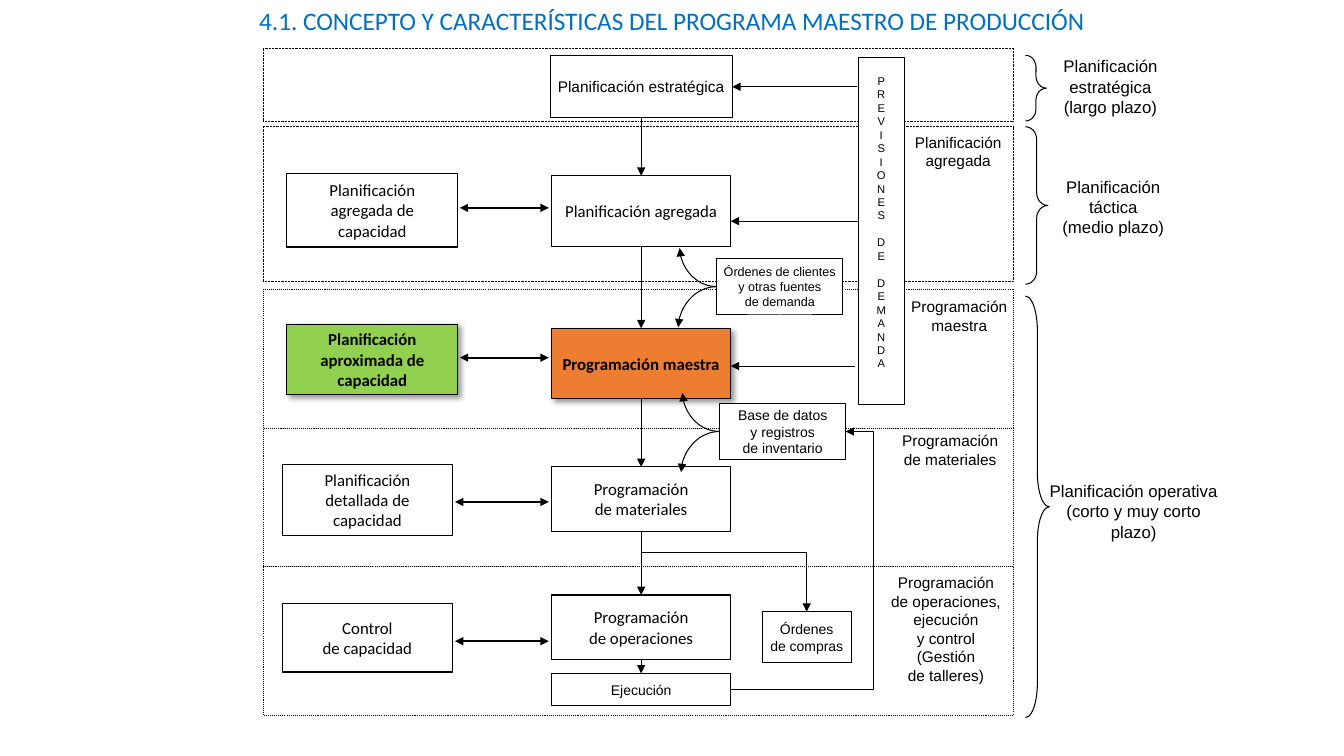
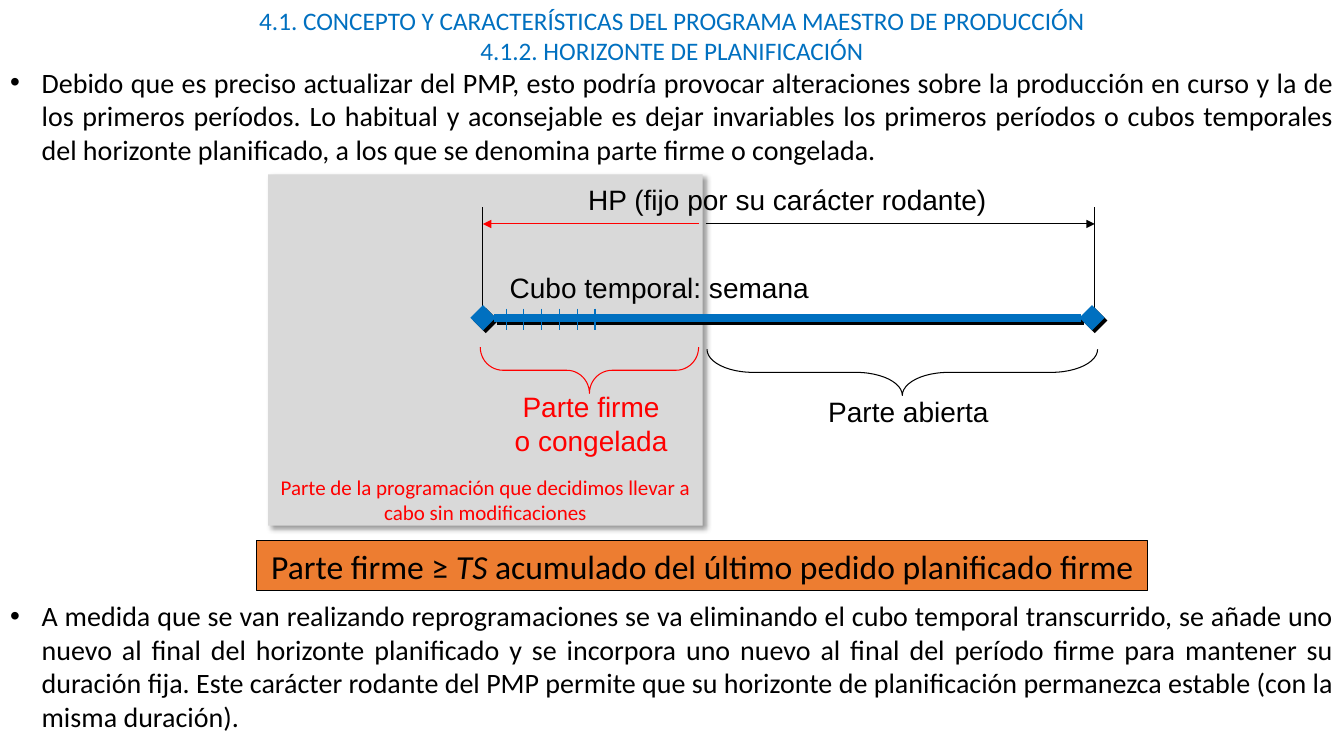
from lxml import etree
from pptx import Presentation
from pptx.dml.color import RGBColor
from pptx.enum.dml import MSO_LINE
from pptx.enum.shapes import MSO_CONNECTOR, MSO_SHAPE
from pptx.enum.text import MSO_ANCHOR, MSO_AUTO_SIZE, PP_ALIGN
from pptx.oxml.ns import qn
from pptx.util import Pt

RECT, BRACE = MSO_SHAPE.RECTANGLE, MSO_SHAPE.RIGHT_BRACE
STRAIGHT, ELBOW, CURVE = MSO_CONNECTOR.STRAIGHT, MSO_CONNECTOR.ELBOW, MSO_CONNECTOR.CURVE
LEFT, CENTER, JUSTIFY = PP_ALIGN.LEFT, PP_ALIGN.CENTER, PP_ALIGN.JUSTIFY
TOP, MIDDLE = MSO_ANCHOR.TOP, MSO_ANCHOR.MIDDLE
DOTTED = MSO_LINE.ROUND_DOT
NO_FIT = MSO_AUTO_SIZE.NONE

COLORS = {
    "black": "000000", "white": "FFFFFF", "blue": "0070C0", "red": "FF0000",
    "orange": "ED7D31", "green": "92D050", "gray": "D9D9D9",
}
TITLE = "4.1. CONCEPTO Y CARACTERÍSTICAS DEL PROGRAMA MAESTRO DE PRODUCCIÓN"
TOP_BULLET = (
    "Debido que es preciso actualizar del PMP, esto podría provocar alteraciones sobre la "
    "producción en curso y la de los primeros períodos. Lo habitual y aconsejable es dejar "
    "invariables los primeros períodos o cubos temporales del horizonte planificado, a los que "
    "se denomina parte firme o congelada."
)
BOTTOM_BULLET = (
    "A medida que se van realizando reprogramaciones se va eliminando el cubo temporal "
    "transcurrido, se añade uno nuevo al final del horizonte planificado y se incorpora uno nuevo "
    "al final del período firme para mantener su duración fija. Este carácter rodante del PMP "
    "permite que su horizonte de planificación permanezca estable (con la misma duración)."
)


def rgb(name):
    """Return the named colour."""
    return RGBColor.from_string(COLORS[name])


def write(sp, text, size=12, font="Calibri", color="black", bold=False, align=CENTER,
          anchor=TOP, wrap=False):
    """Fill a shape with one paragraph per line; *asterisks* mark italics."""
    tf = sp.text_frame
    tf.auto_size = NO_FIT
    tf.word_wrap = wrap
    tf.vertical_anchor = anchor
    for i, line in enumerate(text.split("\n")):
        p = tf.add_paragraph() if i else tf.paragraphs[0]
        p.alignment = align
        p.space_before = Pt(0)
        for j, part in enumerate(line.split("*")):
            r = p.add_run()
            r.text = part
            r.font.size, r.font.name = Pt(size), font
            r.font.bold, r.font.italic = bold, j % 2 == 1
            r.font.color.rgb = rgb(color)
    return tf


def place(sp, x, y, w, h):
    """Move and size a shape."""
    sp.left, sp.top, sp.width, sp.height = Pt(x), Pt(y), Pt(w), Pt(h)


def add_title(s, text, h):
    """Write the blue heading in the title placeholder."""
    place(s.shapes.title, 0, 0, 960, h)
    write(s.shapes.title, text, size=18, color="blue", wrap=True)


def add_bullet(sp, text, y, h):
    """Write a justified bullet in a body placeholder."""
    place(sp, 0, y, 960, h)
    tf = write(sp, text, size=20, align=JUSTIFY, wrap=True)
    p_pr = tf.paragraphs[0]._p.get_or_add_pPr()
    p_pr.set("marL", str(Pt(22.5)))
    p_pr.set("indent", str(-Pt(22.5)))


def add_shadow(sp, alpha=40, blur=4, dist=3):
    """Give a shape an outer black shadow towards the lower right."""
    effects = sp._element.spPr.find(qn("a:effectLst"))
    shadow = etree.SubElement(effects, qn("a:outerShdw"), blurRad=str(Pt(blur)),
                              dist=str(Pt(dist)), dir="2700000", algn="tl", rotWithShape="0")
    clr = etree.SubElement(shadow, qn("a:srgbClr"), val=COLORS["black"])
    etree.SubElement(clr, qn("a:alpha"), val=str(alpha * 1000))


def add_box(s, x, y, w, h, text="", fill="white", line="black", shadow=False, **fmt):
    """Add a rectangle with centred text."""
    sp = s.shapes.add_shape(RECT, Pt(x), Pt(y), Pt(w), Pt(h))
    sp.shadow.inherit = False
    sp.fill.solid()
    sp.fill.fore_color.rgb = rgb(fill)
    if line:
        sp.line.color.rgb = rgb(line)
        sp.line.width = Pt(0.75)
    else:
        sp.line.fill.background()
    if shadow:
        add_shadow(sp)
    if text:
        write(sp, text, **{"anchor": MIDDLE, **fmt})
    return sp


def add_label(s, x, y, w, h, text, **fmt):
    """Add a text box, in Arial unless told otherwise."""
    write(s.shapes.add_textbox(Pt(x), Pt(y), Pt(w), Pt(h)), text, **{"font": "Arial", **fmt})


def add_brace(s, x, y, w, h, adj, color="black", down=False):
    """Add a brace over the given area, pointing right or down."""
    if down:
        x, y, w, h = x + (w - h) / 2, y + (h - w) / 2, h, w
    sp = s.shapes.add_shape(BRACE, Pt(x), Pt(y), Pt(w), Pt(h))
    sp.rotation = 90 if down else 0
    sp.adjustments[0] = adj
    sp.shadow.inherit = False
    sp.fill.background()
    sp.line.color.rgb = rgb(color)
    sp.line.width = Pt(0.75)


def add_line(s, x1, y1, x2, y2, kind=STRAIGHT, color="black", width=0.75, head=None, tail=None):
    """Add a connector with optional ends."""
    c = s.shapes.add_connector(kind, Pt(x1), Pt(y1), Pt(x2), Pt(y2))
    c.line.color.rgb = rgb(color)
    c.line.width = Pt(width)
    sp_pr = c._element.spPr
    for tag, end in (("a:headEnd", head), ("a:tailEnd", tail)):
        if end:
            etree.SubElement(sp_pr.find(qn("a:ln")), qn(tag), type=end)
    etree.SubElement(sp_pr, qn("a:effectLst"))
    return c


def add_arrow(s, x1, y1, x2, y2, **fmt):
    """Add a connector that ends in a triangle."""
    return add_line(s, x1, y1, x2, y2, tail="triangle", **fmt)


def add_flow(s, upper, lower):
    """Join two stacked boxes with a downward arrow."""
    c = add_arrow(s, 458, 0, 458, 10)
    c.begin_connect(upper, 2)
    c.end_connect(lower, 0)


def add_elbow(s, x1, y1, x2, y2, adj, vertical=False):
    """Add a bent arrow; a vertical one leaves downwards and ends to the right."""
    if vertical:
        cx, cy, dx, dy = (x1 + x2) / 2, (y1 + y2) / 2, (x2 - x1) / 2, (y2 - y1) / 2
        x1, y1, x2, y2 = cx + dy, cy - dx, cx - dy, cy + dx
    c = add_arrow(s, x1, y1, x2, y2, kind=ELBOW)
    sp_pr = c._element.spPr
    if vertical:
        sp_pr.find(qn("a:xfrm")).set("rot", "16200000")
    guides = sp_pr.find(qn("a:prstGeom")).find(qn("a:avLst"))
    etree.SubElement(guides, qn("a:gd"), name="adj1", fmla=f"val {round(adj * 100000)}")


def add_curve(s, x1, y1, x2, y2):
    """Add a quarter-turn arrow."""
    c = add_arrow(s, x1, y1, x2, y2, kind=CURVE)
    c._element.spPr.find(qn("a:prstGeom")).set("prst", "curvedConnector2")


def add_forecast(s):
    """Add the tall box whose words are stacked letter by letter."""
    words = ("PREVISIONES", "DE", "DEMANDA")
    sp = add_box(s, 613, 41, 33, 248, "\n".join("".join(words)), size=8, font="Arial", anchor=TOP)
    tf = sp.text_frame
    tf.margin_top = Pt(12)
    for p in tf.paragraphs:
        p.line_spacing = Pt(9.6)
    start = 0
    for word in words[:-1]:
        start += len(word)
        tf.paragraphs[start].space_before = Pt(9.6)


def build_concept(prs):
    """Build the slide of planning levels."""
    s = prs.slides.add_slide(prs.slide_layouts[5])
    add_title(s, TITLE, 29)
    for y, h, width in ((34.5, 52.5, 0.5), (90, 111, 0.5), (206.5, 99.5, 0.75),
                        (306, 98.5, 0.75), (404.5, 106.5, 0.75)):
        band = add_box(s, 188, y, 536, h)
        band.line.width = Pt(width)
        band.line.dash_style = DOTTED

    for x, y, w, h, text in (
        (646, 91.5, 77, 34, "Planificación\nagregada"),
        (643.5, 209, 83.5, 34, "Programación\nmaestra"),
        (637, 304.5, 83.5, 34, "Programación\nde materiales"),
        (629, 406, 93.5, 87,
         "Programación\nde operaciones,\nejecución\ny control\n(Gestión\nde talleres)"),
    ):
        add_label(s, x, y, w, h, text, size=11)

    strategic = add_box(s, 393, 40, 130, 44, "Planificación estratégica", size=11, font="Arial")
    steps = [strategic] + [add_box(s, 394, y, 128, h, text, **fmt) for y, h, text, fmt in (
        (125.5, 50.5, "Planificación agregada", {}),
        (234.5, 50.5, "Programación maestra", {"fill": "orange", "shadow": True, "bold": True}),
        (333.5, 46, "Programación\nde materiales", {}),
        (425, 46, "Programación\nde operaciones", {}),
        (481, 23, "Ejecución", {"size": 10, "font": "Arial"}),
    )]
    for upper, lower in zip(steps, steps[1:]):
        add_flow(s, upper, lower)

    for x, y, h, text, arrow_y, fmt in (
        (205, 124, 52.5, "Planificación\nagregada de\ncapacidad", 148.5, {}),
        (205, 231.5, 50.5, "Planificación\naproximada de\ncapacidad", 255.5,
         {"fill": "green", "shadow": True, "bold": True}),
        (201.5, 331.5, 51, "Planificación\ndetallada de\ncapacidad", 358.5, {}),
        (201.5, 431, 49, "Control\nde capacidad", 458, {}),
    ):
        add_box(s, x, y, 122, h, text, **fmt)
        add_arrow(s, x + 123.5, arrow_y, 392, arrow_y, width=1.5, head="triangle")

    for x, y, size, text in (
        (512, 184.5, 9, "Órdenes de clientes\ny otras fuentes\nde demanda"),
        (514, 288, 10, "Base de datos\ny registros\nde inventario"),
    ):
        add_box(s, x, y, 90, 40.5, text, size=size, font="Arial")
        mid = y + 20.25
        add_curve(s, x, mid, x - 26.5, mid - 27.5)
        add_curve(s, x, mid, x - 27.5, mid + 29)
    add_box(s, 544.5, 437, 63.5, 36.5, "Órdenes\nde compras", size=10, font="Arial")
    add_elbow(s, 458, 379.5, 576.25, 437, 0.27, vertical=True)
    add_elbow(s, 522, 492.5, 604, 308.25, 1.24)

    add_forecast(s)
    add_arrow(s, 612, 62, 523, 62).end_connect(strategic, 3)
    for x, y in ((613, 158), (611, 261.5)):
        add_arrow(s, x, y, 522, y)

    for y, w, h, adj in ((39.5, 15, 47, 0.57), (90.5, 16, 112.5, 0.57), (211.5, 17, 301, 1.44)):
        add_brace(s, 732.5, y, w, h, adj)
    for x, y, w, text in (
        (736, 36.5, 114.5, "Planificación estratégica\n(largo plazo)"),
        (738, 122.5, 114.5, "Planificación táctica\n(medio plazo)"),
        (740, 340, 139.5, "Planificación operativa\n(corto y muy corto plazo)"),
    ):
        add_label(s, x, y, w, 51, text, wrap=True)


def build_horizon(prs):
    """Build the slide of the planning horizon."""
    s = prs.slides.add_slide(prs.slide_layouts[3])
    add_title(s, TITLE + "\n4.1.2. HORIZONTE DE PLANIFICACIÓN", 50.5)
    add_bullet(s.placeholders[1], TOP_BULLET, 43, 80)
    add_bullet(s.placeholders[2], BOTTOM_BULLET, 424, 104.5)

    add_box(s, 191.5, 124.5, 310.5, 251, fill="gray", line=None, shadow=True)
    for x in (345, 782):
        add_line(s, x, 148, x, 228.5)
    add_arrow(s, 499, 160, 345, 160, color="red")
    add_arrow(s, 504, 160, 782, 160)
    timeline = add_line(s, 345, 227, 780, 227, color="blue", width=6,
                        head="diamond", tail="diamond")
    add_shadow(timeline, alpha=100, blur=0, dist=2.8)
    for i in range(6):
        x = 361.5 + 12.7 * i
        add_line(s, x, 220.5, x, 235.5, color="blue")

    add_brace(s, 343, 248, 156, 33, 0.49, color="red", down=True)
    add_brace(s, 505, 249.5, 279, 33, 1, down=True)
    add_label(s, 413, 127, 301, 31.5, "HP (fijo por su carácter rodante)", size=20, align=LEFT)
    add_label(s, 357, 189.5, 229.5, 31.5, "Cubo temporal: semana", size=20, align=LEFT)
    add_label(s, 360, 275, 124.5, 56, "Parte firme\no congelada", size=20, color="red")
    add_label(s, 584, 278, 130, 31.5, "Parte abierta", size=20)
    add_label(s, 191.5, 335.5, 310.5, 43,
              "Parte de la programación que decidimos llevar a cabo sin modificaciones",
              size=15, font="Calibri", color="red", wrap=True)
    add_box(s, 183.5, 386, 636.5, 36,
            "Parte firme ≥ *TS* acumulado del último pedido planificado firme",
            fill="orange", size=24)


def main():
    """Build and save the presentation."""
    prs = Presentation()
    prs.slide_width, prs.slide_height = Pt(960), Pt(540)
    build_concept(prs)
    build_horizon(prs)
    prs.save("out.pptx")


if __name__ == "__main__":
    main()
